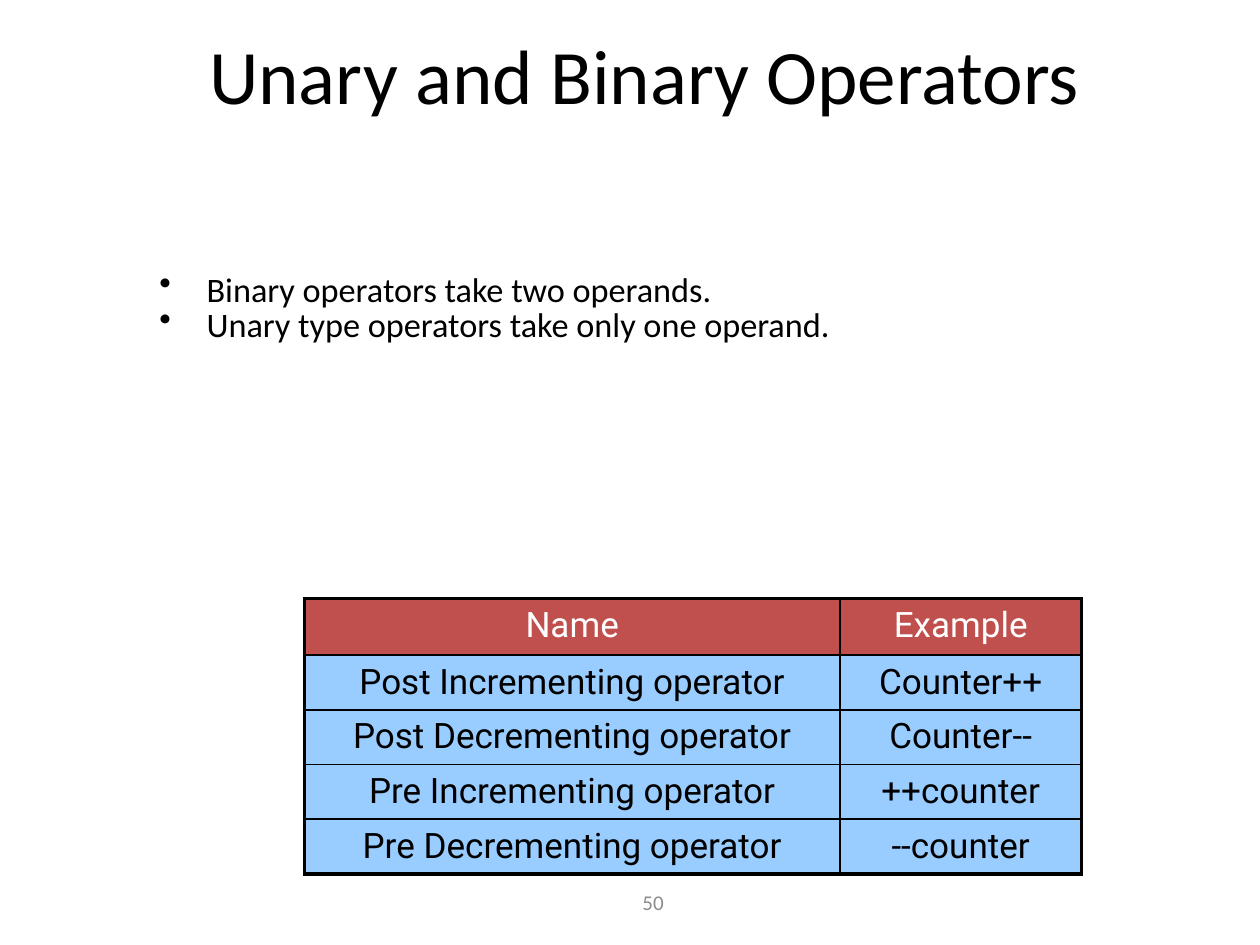
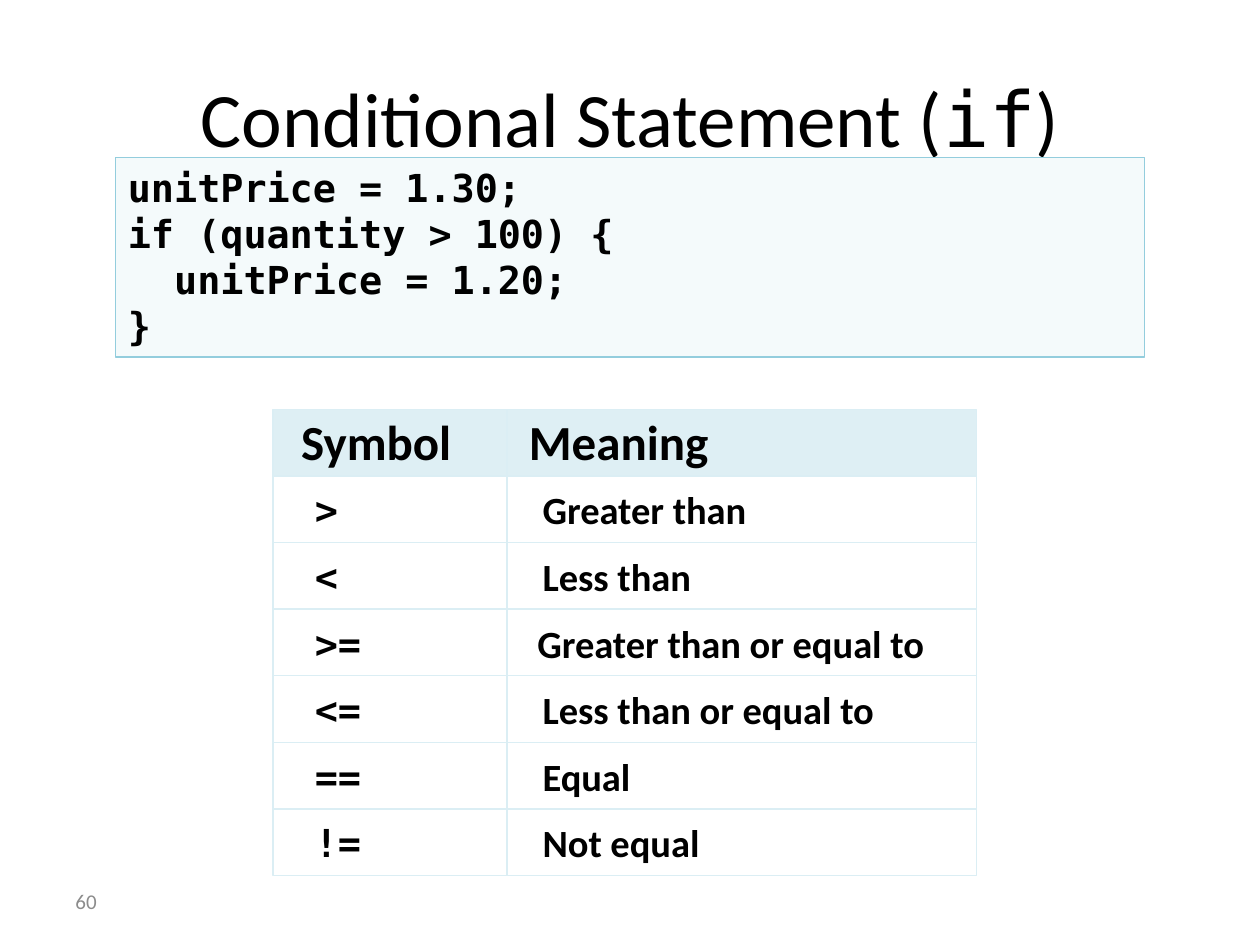
import pptx
import pptx.dml.color
import pptx.enum.shapes
import pptx.enum.text
import pptx.oxml
import pptx.oxml.ns
import pptx.util
from dataclasses import dataclass

ALIGN = pptx.enum.text.PP_ALIGN
ANCHOR = pptx.enum.text.MSO_ANCHOR
qn = pptx.oxml.ns.qn


@dataclass(frozen=True)
class Theme:
    # Fonts
    sans: str = "Calibri"
    mono: str = "DejaVu Sans Mono"
    grid: str = "Roboto"
    # Colours
    ink: str = "000000"
    pale: str = "FFFFFF"
    gray: str = "8C8C8C"
    red: str = "C0504D"
    blue: str = "99CCFF"
    ice: str = "DBEEF4"
    aqua: str = "93CDDD"
    mist: str = "B7DEE8"
    # Type sizes in points
    title: float = 44
    head: float = 28
    code: float = 22
    cell: float = 20
    body: float = 19.6
    note: float = 12
    # Line widths in points
    thick: float = 2.25
    thin: float = 1


def unit(count):
    """Length of grid columns or rows: 120 columns by 90 rows, 12 to the inch."""
    return pptx.util.Inches(count / 12)


def tint(name):
    return pptx.dml.color.RGBColor.from_string(name)


class Deck:
    def __init__(self, theme):
        self.theme = theme
        self.file = pptx.Presentation()
        self.file.slide_width = unit(120)
        self.file.slide_height = unit(90)
        self.slide = None

    def page(self):
        self.slide = self.file.slides.add_slide(self.file.slide_layouts[6])

    def style(self, para, size, font=None, color=None, bold=False):
        for run in para.runs:
            run.font.size = pptx.util.Pt(size)
            run.font.name = font or self.theme.sans
            run.font.bold = bold
            run.font.color.rgb = tint(color or self.theme.ink)

    def text(self, area, words, size, anchor=ANCHOR.TOP, **look):
        box = self.slide.shapes.add_textbox(*map(unit, area))
        frame = box.text_frame
        frame.word_wrap = True
        frame.vertical_anchor = anchor
        frame.text = words
        for para in frame.paragraphs:
            self.style(para, size, **look)
        return frame

    def title(self, area, *parts):
        """Each part is a pair of words and font."""
        frame = self.text(area, "", self.theme.title, ANCHOR.MIDDLE)
        para = frame.paragraphs[0]
        para.alignment = ALIGN.CENTER
        for words, font in parts:
            run = para.add_run()
            run.text = words
        self.style(para, self.theme.title)
        for run, (words, font) in zip(para.runs, parts):
            run.font.name = font

    def number(self, area, words):
        self.text(area, words, self.theme.note, ANCHOR.MIDDLE,
                  color=self.theme.gray)

    def list(self, area, items):
        frame = self.text(area, "\n".join(items), self.theme.body)
        for index, para in enumerate(frame.paragraphs):
            props = para._p.get_or_add_pPr()
            props.set("marL", str(unit(4.5)))
            props.set("indent", str(-unit(4.5)))
            mark = pptx.oxml.parse_xml(
                f'<a:buChar {pptx.oxml.ns.nsdecls("a")} char="•"/>')
            props.append(mark)
            para.line_spacing = 0.7
            if index:
                para.space_before = pptx.util.Pt(0.2 * self.theme.body)

    def rect(self, area, line, width, fill=None, alpha=100):
        kind = pptx.enum.shapes.MSO_SHAPE.RECTANGLE
        box = self.slide.shapes.add_shape(kind, *map(unit, area))
        box.shadow.inherit = False
        box.line.color.rgb = tint(line)
        box.line.width = pptx.util.Pt(width)
        if fill:
            box.fill.solid()
            box.fill.fore_color.rgb = tint(fill)
            color = box.fill._xPr.find(qn("a:solidFill"))[0]
            pptx.oxml.xmlchemy.OxmlElement("a:alpha")
            clear = pptx.oxml.parse_xml(
                f'<a:alpha {pptx.oxml.ns.nsdecls("a")} val="{alpha * 1000}"/>')
            color.append(clear)
        else:
            box.fill.background()
        return box

    def code(self, area, words):
        theme = self.theme
        box = self.rect(area, theme.aqua, theme.thin, theme.mist, 15)
        frame = box.text_frame
        frame.word_wrap = True
        frame.vertical_anchor = ANCHOR.TOP
        frame.text = words
        for para in frame.paragraphs:
            para.alignment = ALIGN.LEFT
            self.style(para, theme.code, theme.mono, bold=True)

    def edge(self, cell, side, width):
        cell._tc.get_or_add_tcPr().append(pptx.oxml.parse_xml(
            f'<a:ln{side} {pptx.oxml.ns.nsdecls("a")} '
            f'w="{pptx.util.Pt(width)}"><a:solidFill>'
            f'<a:srgbClr val="{self.theme.ink}"/></a:solidFill></a:ln{side}>'))

    def table(self, left, top, cols, rows, data):
        theme = self.theme
        area = left, top, sum(cols), sum(rows)
        table = self.slide.shapes.add_table(
            len(rows), len(cols), *map(unit, area)).table
        table.first_row = table.horz_banding = False
        for col, width in zip(table.columns, cols):
            col.width = unit(width)
        for r, (row, height) in enumerate(zip(table.rows, rows)):
            row.height = unit(height)
            for c, cell in enumerate(row.cells):
                # Heavy frame, light inner lines
                outer = {"L": c == 0, "R": c == len(cols) - 1,
                         "T": r == 0, "B": r == len(rows) - 1}
                for side, heavy in outer.items():
                    self.edge(cell, side, theme.thick if heavy else theme.thin)
                cell.fill.solid()
                cell.fill.fore_color.rgb = tint(theme.blue if r else theme.red)
                cell.text_frame.text = data[r][c]
                para = cell.text_frame.paragraphs[0]
                para.alignment = ALIGN.CENTER
                self.style(para, theme.cell, theme.grid,
                           theme.ink if r else theme.pale)

    def chart(self, left, top, cols, step, heads, data):
        """Grid of outlined boxes with a tinted head row."""
        theme = self.theme
        lefts = left, left + cols[0]
        for r in range(len(data) + 1):
            fill = None if r else theme.aqua
            for x, width in zip(lefts, cols):
                self.rect((x, top + r * step, width, step),
                          theme.ice, 0, fill, 30)
        # Head labels
        for x, width, words in zip((27.5, 49.2), (18.6, 41.3), heads):
            frame = self.text((x, top + 0.5, width, 4.5), words,
                              theme.head, bold=True)
            frame.paragraphs[0].line_spacing = pptx.util.Pt(theme.head)
        # Symbols and meanings
        for r, (sign, words) in enumerate(data, 1):
            y = top + r * step + 0.4
            self.text((28.8, y, 18.6, step), sign, theme.code,
                      font=theme.mono, bold=True)
            x = 50 if words.startswith("Greater than or") else 50.5
            self.text((x, y, 43, step), words, theme.code, bold=True)


def unary(deck):
    deck.page()
    deck.number((60, 84.4, 8, 3.1), "50")
    deck.title((2.8, 1, 117.2, 12),
               ("Unary and Binary Operators", deck.theme.sans))
    deck.list((14, 26, 99, 8), ["Binary operators take two operands.",
                                "Unary type operators take only one operand."])
    deck.table(29, 57, (51, 23), (5.4,) + (5.2,) * 4, [
        ("Name", "Example"),
        ("Post Incrementing operator", "Counter++"),
        ("Post Decrementing operator", "Counter--"),
        ("Pre Incrementing operator", "++counter"),
        ("Pre Decrementing operator", "--counter")])


def branch(deck):
    theme = deck.theme
    deck.page()
    deck.chart(26, 39, (22.3, 44.7), 6.34, ("Symbol", "Meaning"), [
        (">", "Greater than"),
        ("<", "Less than"),
        (">=", "Greater than or equal to"),
        ("<=", "Less than or equal to"),
        ("==", "Equal"),
        ("!=", "Not equal")])
    deck.title((6, 3.6, 108, 15), ("Conditional Statement (", theme.sans),
               ("if", theme.mono), (")", theme.sans))
    deck.number((6, 83.4, 28, 4.8), "60")
    deck.code((11, 15, 98, 19), "unitPrice = 1.30;\nif (quantity > 100) {\n"
              "  unitPrice = 1.20;\n}")


def main():
    deck = Deck(Theme())
    unary(deck)
    branch(deck)
    deck.file.save("out.pptx")


if __name__ == "__main__":
    main()
